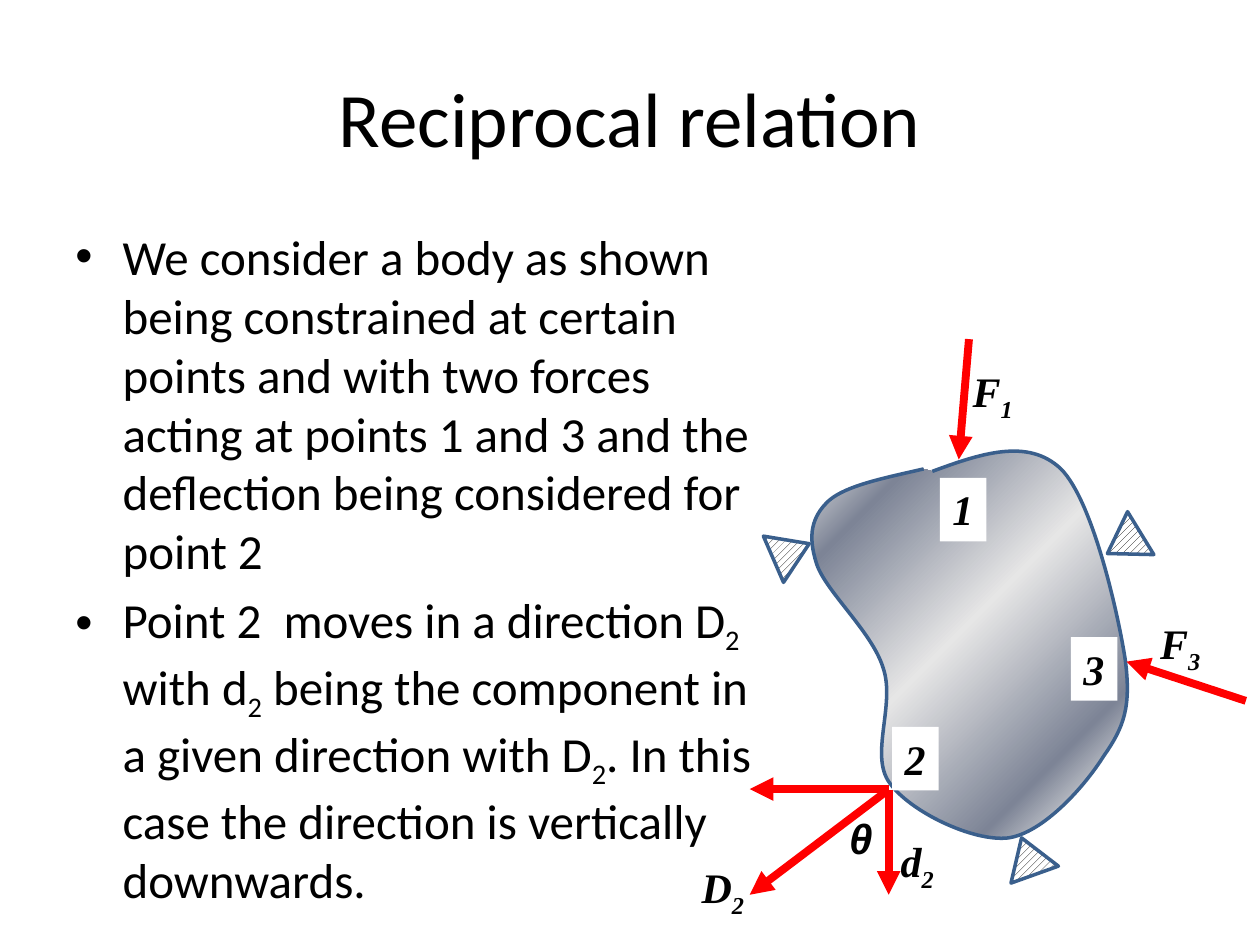
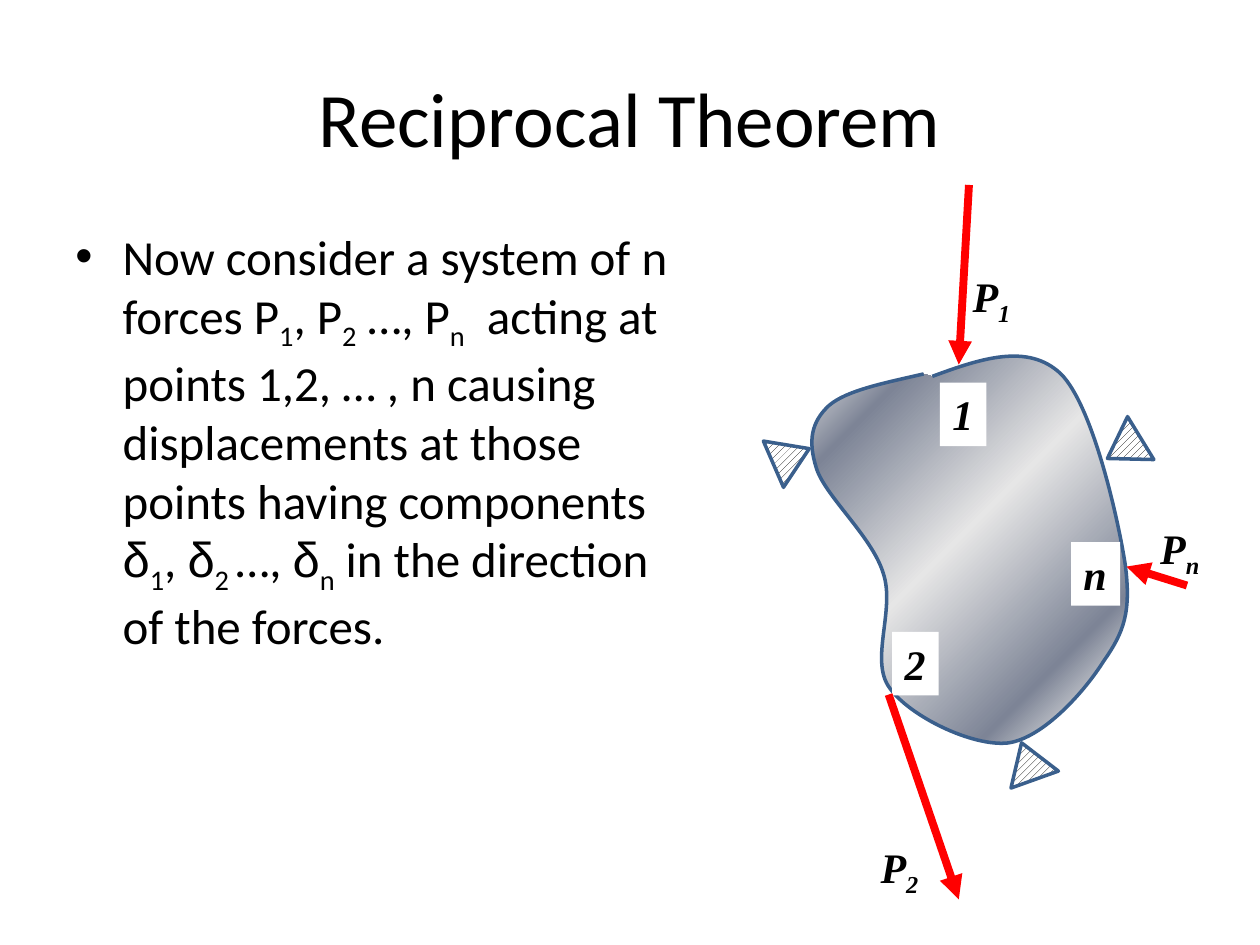
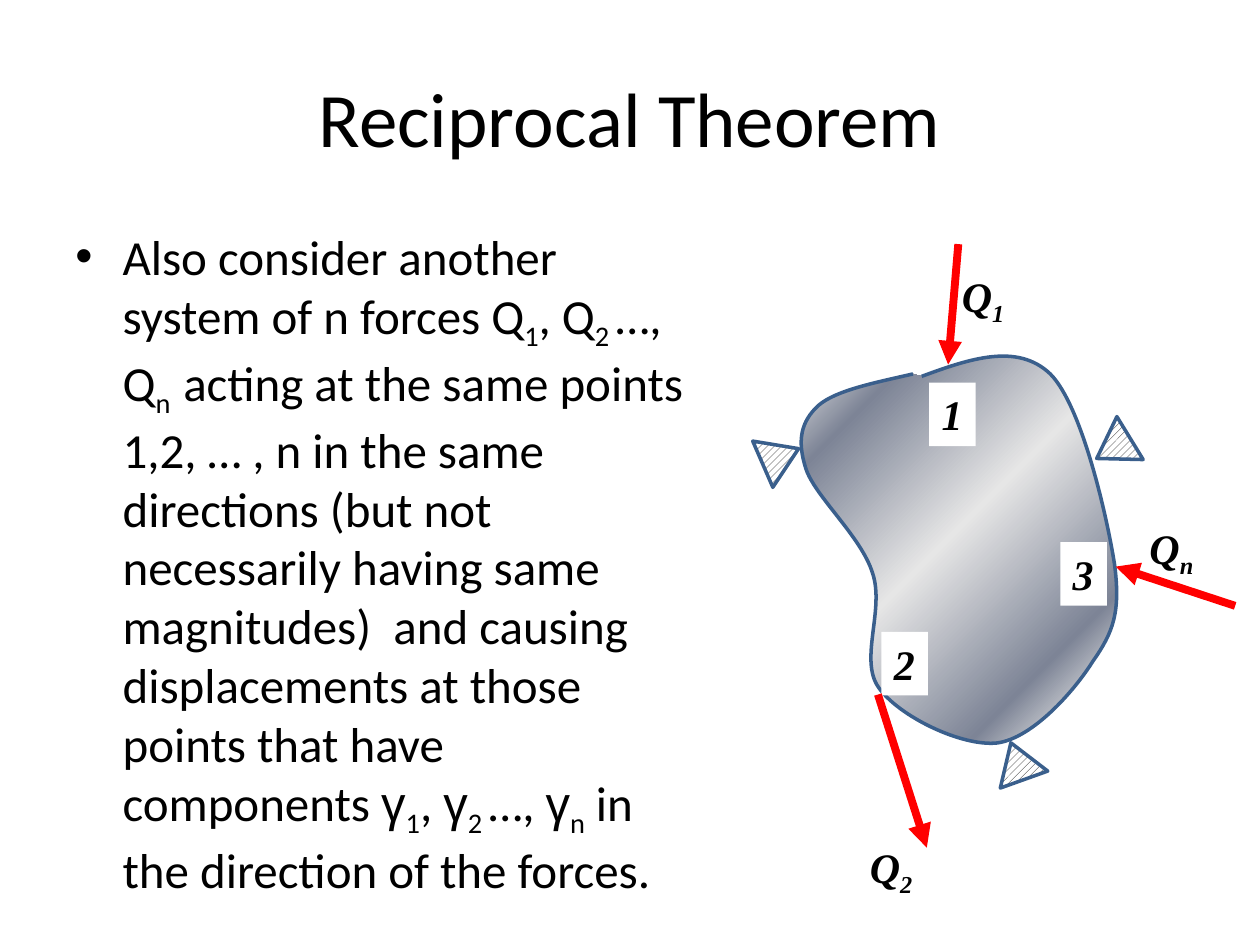
from itertools import groupby

from lxml import etree
from pptx import Presentation
from pptx.dml.color import RGBColor
from pptx.enum.dml import MSO_PATTERN
from pptx.enum.shapes import MSO_CONNECTOR, MSO_SHAPE
from pptx.enum.text import MSO_ANCHOR, MSO_AUTO_SIZE, PP_ALIGN
from pptx.oxml.ns import qn
from pptx.util import Pt

STRAIGHT = MSO_CONNECTOR.STRAIGHT
TRIANGLE = MSO_SHAPE.ISOSCELES_TRIANGLE
HATCH = MSO_PATTERN.WIDE_UPWARD_DIAGONAL
MIDDLE = MSO_ANCHOR.MIDDLE
CENTER = PP_ALIGN.CENTER
FIT_TEXT = MSO_AUTO_SIZE.SHAPE_TO_FIT_TEXT

COLORS = {
    "text": "000000",
    "paper": "FFFFFF",
    "outline": "3A5F8C",
    "force": "FF0000",
    "sheen": "E6E6E6",
    "steel": "7D8496",
}
RGB = {name: RGBColor.from_string(value) for name, value in COLORS.items()}
GREEK = "δγθ"

BODY_SIZE = (180, 221)
BODY_START = (64.1, 10.1)
BODY_CURVES = [
    [(42.5, 15.1), (20.2, 19.4), (10.1, 28.1)],
    [(0, 37.4), (-2.2, 48.2), (2.9, 64.1)],
    [(7.9, 79.9), (34.6, 103), (41, 123.8)],
    [(48.2, 144.7), (33.1, 173.5), (44.6, 189.4)],
    [(56.2, 205.9), (92.2, 223.2), (112.3, 221)],
    [(132.5, 218.2), (156.2, 191.5), (167, 174.2)],
    [(178.6, 157.7), (182.9, 146.2), (179.3, 118.8)],
    [(175, 91.4), (160.6, 28.1), (142.6, 10.1)],
    [(123.8, -7.9), (96.5, 1.4), (69.1, 11.5)],
]
BODY_STOPS = [(0, "paper"), (7, "sheen"), (21, "steel"),
              (53, "sheen"), (84, "steel"), (100, "sheen")]
SUPPORTS = [(-25.9, 46.1, 66.5), (164.2, 41.4, 238.5), (109.4, 220.2, 340.3)]
TAG_SPOTS = [(73.4, 15.1), (46.1, 157.5), (148.3, 106.2)]
TOP, LOWER, SIDE = (84.2, 4.7), (44.1, 193.3), (180, 120.2)
TOP_LABEL, LOWER_LABEL, SIDE_LABEL = (85, -52.6), (32.4, 273.6), (192.2, 91.4)

SLIDES = [
    {
        "title": "Reciprocal relation",
        "points": [
            "We consider a body as shown being constrained at certain points and with "
            "two forces acting at points 1 and 3 and the deflection being considered "
            "for point 2",
            "Point 2  moves in a direction D~2~ with d~2~ being the component in a "
            "given direction with D~2~. In this case the direction is vertically "
            "downwards.",
        ],
        "text_size": (410.4, 365),
        "origin": (463.7, 257.9),
        "tags": "123",
        "arrows": [((90, -64.1), TOP), ((248.2, 142.6), SIDE),
                   (LOWER, (-35.3, 253.4)), ((44.1, 193), (-35.3, 193)),
                   (LOWER, (44.1, 253.4))],
        "labels": [("F~1~", TOP_LABEL, 38.9), ("F~3~", SIDE_LABEL, 38.9),
                   ("D~2~", (-69.8, 231.1), 40.3), ("θ", (14.4, 203), 27.4),
                   ("d~2~", (43.9, 216), 34.6)],
    },
    {
        "title": "Reciprocal Theorem",
        "points": [
            "Now consider a system of n forces P~1~, P~2~ …, P~n~  acting at points "
            "1,2, … , n causing displacements at those points having components "
            "δ~1~, δ~2 ~…, δ~n~ in the direction of the forces.",
        ],
        "text_size": (369.4, 365),
        "origin": (463.7, 203.6),
        "tags": "12n",
        "arrows": [((90, -97.9), TOP), ((214.6, 131), SIDE), (LOWER, (84.2, 310.3))],
        "labels": [("P~1~", TOP_LABEL, 38.9), ("P~n~", SIDE_LABEL, 38.9),
                   ("P~2~", LOWER_LABEL, 37.4)],
    },
    {
        "title": "Reciprocal Theorem",
        "points": [
            "Also consider another system of n forces Q~1~, Q~2 ~…, Q~n  ~acting at "
            "the same points 1,2, … , n in the same directions (but not necessarily "
            "having same magnitudes)  and causing displacements at those points that "
            "have components γ~1~, γ~2 ~…, γ~n~ in the direction of the forces.",
        ],
        "text_size": (369.4, 388),
        "origin": (457.6, 203.6),
        "tags": "123",
        "arrows": [((90, -64.1), TOP), ((248.2, 142.6), SIDE), (LOWER, (72, 280.8))],
        "labels": [("Q~1~", TOP_LABEL, 40.3), ("Q~n~", SIDE_LABEL, 41),
                   ("Q~2~", LOWER_LABEL, 40.3)],
    },
]


def write(paragraph, text, font_name, size, emphasis=False):
    paragraph.font.size = Pt(size)
    paragraph.font.bold = paragraph.font.italic = emphasis
    paragraph.font.color.rgb = RGB["text"]
    for index, piece in enumerate(text.split("~")):
        for is_greek, letters in groupby(piece, lambda letter: letter in GREEK):
            run = paragraph.add_run()
            run.text = "".join(letters)
            run.font.name = "Arial" if is_greek else font_name
            if index % 2:
                run._r.get_or_add_rPr().set("baseline", "-25000")


def add_node(parent, tag, **attributes):
    return etree.SubElement(parent, qn(tag), {k: str(v) for k, v in attributes.items()})


prs = Presentation()
prs.slide_width, prs.slide_height = Pt(720), Pt(540)
title_only = prs.slide_layouts[5]

for content in SLIDES:
    slide = prs.slides.add_slide(title_only)
    title = slide.shapes.title
    title.left, title.top, title.width, title.height = Pt(36), Pt(21.6), Pt(648), Pt(90)
    title.text_frame.vertical_anchor = MIDDLE
    heading = title.text_frame.paragraphs[0]
    heading.alignment = CENTER
    write(heading, content["title"], "Calibri", 44)

    text_width, text_height = content["text_size"]
    explanation = slide.shapes.add_textbox(Pt(36), Pt(126), Pt(text_width), Pt(text_height))
    frame = explanation.text_frame
    frame.word_wrap = True
    for number, point in enumerate(content["points"]):
        paragraph = frame.add_paragraph() if number else frame.paragraphs[0]
        paragraph.space_before = Pt(5.6)
        write(paragraph, point, "Calibri", 28)
        properties = paragraph._p.get_or_add_pPr()
        properties.set("marL", str(Pt(27)))
        properties.set("indent", str(-Pt(27)))
        default_font = properties.find(qn("a:defRPr"))
        bullet_font = add_node(properties, "a:buFont", typeface="Arial")
        bullet = add_node(properties, "a:buChar", char="•")
        default_font.addprevious(bullet_font)
        default_font.addprevious(bullet)

    left, top = content["origin"]
    width, height = BODY_SIZE
    diagram = slide.shapes.add_group_shape().shapes

    builder = diagram.build_freeform(Pt(left), Pt(top))
    builder.add_line_segments([(Pt(left + width), Pt(top)),
                               (Pt(left + width), Pt(top + height)),
                               (Pt(left), Pt(top + height))])
    body = builder.convert_to_shape()
    body.shadow.inherit = False
    body.line.color.rgb = RGB["outline"]
    body.line.width = Pt(2)
    outline = next(body._element.iter(qn("a:path")))
    for segment in list(outline):
        outline.remove(segment)
    for tag, points in [("a:moveTo", [BODY_START])] + [
            ("a:cubicBezTo", curve) for curve in BODY_CURVES]:
        segment = add_node(outline, tag)
        for x, y in points:
            add_node(segment, "a:pt", x=Pt(x), y=Pt(y))
    gradient = add_node(body._element.spPr, "a:gradFill", rotWithShape=1)
    stops = add_node(gradient, "a:gsLst")
    for position, name in BODY_STOPS:
        stop = add_node(stops, "a:gs", pos=position * 1000)
        add_node(stop, "a:srgbClr", val=COLORS[name])
    circle = add_node(gradient, "a:path", path="circle")
    add_node(circle, "a:fillToRect", l=100000, t=100000)
    body._element.spPr.find(qn("a:custGeom")).addnext(gradient)

    for x, y, angle in SUPPORTS:
        support = diagram.add_shape(TRIANGLE, Pt(left + x), Pt(top + y), Pt(28.8), Pt(22.3))
        support.rotation = angle
        support.shadow.inherit = False
        support.fill.patterned()
        support.fill.pattern = HATCH
        support.fill.fore_color.rgb = RGB["text"]
        support.fill.back_color.rgb = RGB["paper"]
        support.line.color.rgb = RGB["outline"]
        support.line.width = Pt(2)

    tags = [(name, spot, 28.1 if name == "n" else 26.6)
            for name, spot in zip(content["tags"], TAG_SPOTS)]
    for name, (x, y), label_width in tags + content["labels"]:
        label = diagram.add_textbox(Pt(left + x), Pt(top + y), Pt(label_width), Pt(36.3))
        label.text_frame.word_wrap = False
        label.text_frame.auto_size = FIT_TEXT
        write(label.text_frame.paragraphs[0], name, "Times New Roman", 24, emphasis=True)
        if name in content["tags"]:
            label.fill.solid()
            label.fill.fore_color.rgb = RGB["paper"]

    for (x1, y1), (x2, y2) in content["arrows"]:
        arrow = diagram.add_connector(STRAIGHT, Pt(left + x1), Pt(top + y1),
                                      Pt(left + x2), Pt(top + y2))
        arrow.line.color.rgb = RGB["force"]
        arrow.line.width = Pt(4.5)
        add_node(arrow.line._get_or_add_ln(), "a:tailEnd", type="triangle")
        add_node(arrow._element.spPr, "a:effectLst")

prs.save("out.pptx")
